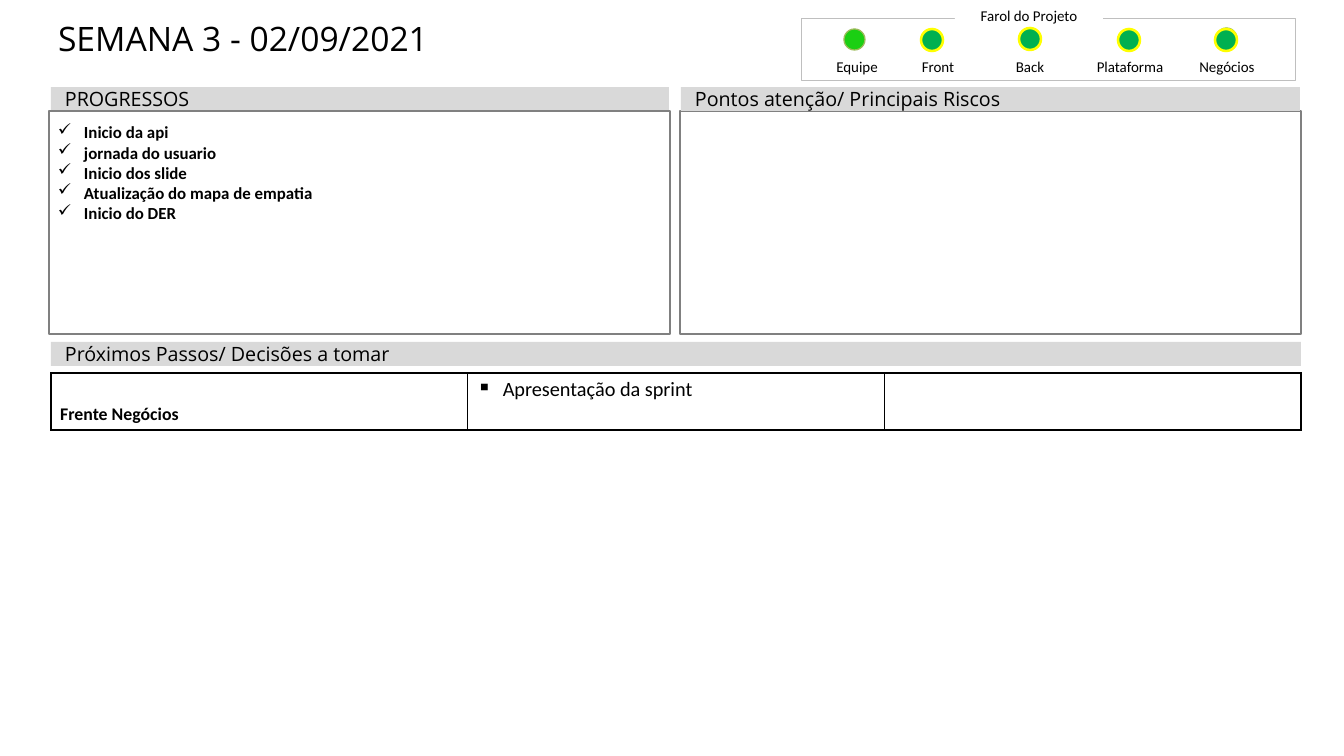
"""Build the weekly status slide with progress, risks, next steps and project lights."""
from dataclasses import dataclass
from typing import Optional

from lxml.etree import SubElement
from pptx import Presentation
from pptx.dml.color import RGBColor
from pptx.enum.shapes import MSO_SHAPE as Preset
from pptx.enum.text import MSO_ANCHOR as Anchor, MSO_AUTO_SIZE as AutoSize, PP_ALIGN as Align
from pptx.oxml.ns import qn
from pptx.util import Pt

SCALE = 914400 / 91.4
COLORS = {
    "black": "000000", "white": "FFFFFF", "header": "D9D9D9", "panel": "808080",
    "frame": "BFBFBF", "green": "00B050", "bright": "1BCF13", "olive": "9BBB59",
    "yellow": "FFFF00",
}
HEADING_FONT, BODY_FONT = "Open Sans", "Calibri"


@dataclass(frozen=True)
class Box:
    left: int
    top: int
    width: int
    height: int


@dataclass(frozen=True)
class Header:
    text: str
    box: Box


@dataclass(frozen=True)
class Lamp:
    center_x: int
    center_y: int
    size: int = 22
    fill: str = "green"
    line: str = "yellow"
    weight: float = 2


@dataclass(frozen=True)
class Label:
    text: str
    center_x: int


HEADERS = [
    Header("PROGRESSOS", Box(51, 87, 618, 24)),
    Header("Pontos atenção/ Principais Riscos", Box(681, 87, 619, 24)),
    Header("Próximos Passos/ Decisões a tomar", Box(51, 342, 1250, 24)),
]
PROGRESS_PANEL, RISK_PANEL = Box(49, 111, 621, 223), Box(680, 111, 621, 223)
PROGRESS = ["Inicio da api", "jornada do usuario", "Inicio dos slide",
            "Atualização do mapa de empatia", "Inicio do DER"]
LAMPS = [
    Lamp(854, 39, 21, "bright", "olive", 1),
    Lamp(1226, 38, 21, "green", "olive", 1),
    Lamp(932, 40), Lamp(1030, 39), Lamp(1129, 40), Lamp(1226, 40),
]
LABELS = [Label("Equipe", 857), Label("Front", 938), Label("Back", 1030),
          Label("Plataforma", 1130), Label("Negócios", 1227)]


def px(value: float) -> int:
    """Turn pixels into EMU."""
    return round(value * SCALE)


def rgb(name: str) -> RGBColor:
    """Look up a named colour."""
    return RGBColor.from_string(COLORS[name])


def place(shape, box: Box) -> None:
    """Move and size a shape."""
    shape.left, shape.top = px(box.left), px(box.top)
    shape.width, shape.height = px(box.width), px(box.height)


def set_font(paragraph, name: str, size: float, bold: bool = False) -> None:
    """Format a paragraph in black."""
    font = paragraph.font
    font.name, font.size, font.bold = name, Pt(size), bold
    font.color.rgb = rgb("black")


def set_insets(frame, left: int, top: int, right: int, bottom: int) -> None:
    """Set the inner margins of a text frame."""
    frame.margin_left, frame.margin_top = px(left), px(top)
    frame.margin_right, frame.margin_bottom = px(right), px(bottom)


def add_bullet(paragraph, character: str) -> None:
    """Give a paragraph a hanging bullet."""
    properties = paragraph._p.get_or_add_pPr()
    properties.set("marL", str(px(26)))
    properties.set("indent", str(-px(26)))
    SubElement(properties, qn("a:buChar")).set("char", character)


def add_shape(slide, preset: Preset, box: Box, fill: Optional[str] = None,
              line: Optional[str] = None, weight: float = 1):
    """Draw a flat preset shape."""
    shape = slide.shapes.add_shape(preset, 0, 0, 0, 0)
    place(shape, box)
    shape.shadow.inherit = False
    if fill:
        shape.fill.solid()
        shape.fill.fore_color.rgb = rgb(fill)
    else:
        shape.fill.background()
    if line:
        shape.line.color.rgb = rgb(line)
        shape.line.width = Pt(weight)
    else:
        shape.line.fill.background()
    return shape


def add_title(slide, text: str) -> None:
    """Fill and format the title placeholder."""
    title = slide.shapes.title
    place(title, Box(47, 18, 1209, 80))
    frame = title.text_frame
    frame.text = text
    frame.auto_size, frame.vertical_anchor = AutoSize.NONE, Anchor.TOP
    set_insets(frame, 11, 0, 11, 0)
    paragraph = frame.paragraphs[0]
    paragraph.alignment = Align.LEFT
    set_font(paragraph, HEADING_FONT, 26.5)


def add_header(slide, header: Header) -> None:
    """Draw a grey section header."""
    frame = add_shape(slide, Preset.RECTANGLE, header.box, "header").text_frame
    frame.text = header.text
    frame.vertical_anchor = Anchor.MIDDLE
    set_insets(frame, 14, 6, 14, 6)
    frame.paragraphs[0].alignment = Align.LEFT
    set_font(frame.paragraphs[0], HEADING_FONT, 15.5)


def add_progress(slide) -> None:
    """Draw the panel with the checked items."""
    frame = add_shape(slide, Preset.RECTANGLE, PROGRESS_PANEL, line="panel").text_frame
    frame.text = "\n".join(PROGRESS)
    frame.vertical_anchor = Anchor.TOP
    set_insets(frame, 9, 11, 9, 5)
    for paragraph in frame.paragraphs:
        paragraph.alignment = Align.LEFT
        set_font(paragraph, BODY_FONT, 13.3, True)
        add_bullet(paragraph, "✓")


def add_caption(shape, text: str) -> None:
    """Write a small centred caption at the bottom of a shape."""
    frame = shape.text_frame
    frame.text = text
    frame.word_wrap, frame.vertical_anchor = False, Anchor.BOTTOM
    set_insets(frame, 5, 5, 5, 0)
    frame.paragraphs[0].alignment = Align.CENTER
    set_font(frame.paragraphs[0], BODY_FONT, 11.8)


def add_lights(slide) -> None:
    """Draw the framed row of project lights."""
    add_shape(slide, Preset.RECTANGLE, Box(801, 18, 494, 62), line="frame", weight=0.5)
    caption = add_shape(slide, Preset.RECTANGLE, Box(955, 4, 148, 21), "white")
    add_caption(caption, "Farol do Projeto")
    for label in LABELS:
        box = slide.shapes.add_textbox(0, 0, 0, 0)
        place(box, Box(label.center_x - 45, 58, 90, 18))
        add_caption(box, label.text)
    for lamp in LAMPS:
        half = lamp.size // 2
        box = Box(lamp.center_x - half, lamp.center_y - half, lamp.size, lamp.size)
        add_shape(slide, Preset.OVAL, box, lamp.fill, lamp.line, lamp.weight)


def format_cell(cell) -> None:
    """Give a cell black borders and no fill."""
    properties = cell._tc.get_or_add_tcPr()
    for side in ("lnL", "lnR", "lnT", "lnB"):
        border = SubElement(properties, qn(f"a:{side}"))
        border.set("w", str(Pt(1)))
        fill = SubElement(border, qn("a:solidFill"))
        SubElement(fill, qn("a:srgbClr")).set("val", COLORS["black"])
    cell.fill.background()


def add_steps(slide) -> None:
    """Draw the table of next steps."""
    table = slide.shapes.add_table(1, 3, px(51), px(373), px(1250), px(57)).table
    table.first_row = table.horz_banding = False
    for cell in table.iter_cells():
        format_cell(cell)
    area, step = table.cell(0, 0), table.cell(0, 1)
    area.text, step.text = "Frente Negócios", "Apresentação da sprint"
    area.vertical_anchor = Anchor.BOTTOM
    set_font(area.text_frame.paragraphs[0], BODY_FONT, 14, True)
    set_font(step.text_frame.paragraphs[0], BODY_FONT, 16)
    add_bullet(step.text_frame.paragraphs[0], "▪")


def main() -> None:
    """Assemble and save the presentation."""
    presentation = Presentation()
    presentation.slide_width, presentation.slide_height = px(1344), px(756)
    slide = presentation.slides.add_slide(presentation.slide_layouts[5])
    add_shape(slide, Preset.RECTANGLE, RISK_PANEL, line="panel")
    add_title(slide, "SEMANA 3 - 02/09/2021")
    for header in HEADERS:
        add_header(slide, header)
    add_progress(slide)
    add_steps(slide)
    add_lights(slide)
    presentation.save("out.pptx")


main()
